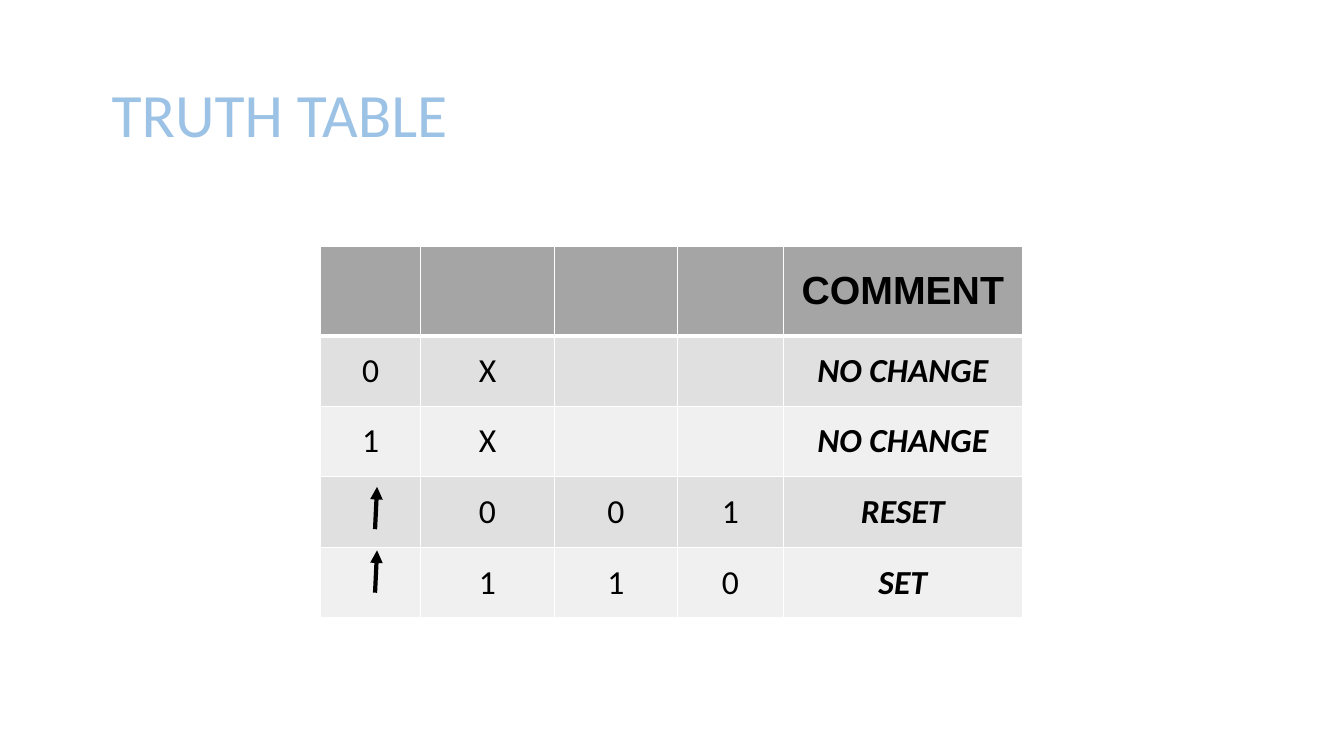
import pptx
import pptx.dml.color
import pptx.enum.shapes
import pptx.enum.text
import pptx.oxml
import pptx.oxml.ns
import pptx.util
from lxml import etree

Inches = pptx.util.Inches
Pt = pptx.util.Pt
RGBColor = pptx.dml.color.RGBColor
MIDDLE = pptx.enum.text.MSO_ANCHOR.MIDDLE
CENTER = pptx.enum.text.PP_ALIGN.CENTER

SKY = RGBColor(0x9C, 0xC2, 0xE5)
BLACK = RGBColor(0, 0, 0)
WHITE = RGBColor(0xFF, 0xFF, 0xFF)
HEADER_GREY = RGBColor(0xA5, 0xA5, 0xA5)
BANDS = (RGBColor(0xF0, 0xF0, 0xF0), RGBColor(0xE0, 0xE0, 0xE0))

COLUMNS = (0.99, 1.33, 1.22, 1.05, 2.37)
HEADER_HEIGHT, ROW_HEIGHT = 0.89, 0.7
STATES = (
    ("", "", "", "", "COMMENT"),
    ("0", "X", "", "", "NO CHANGE"),
    ("1", "X", "", "", "NO CHANGE"),
    ("", "0", "0", "1", "RESET"),
    ("", "1", "1", "0", "SET"),
)


def add_run(paragraph, text, size, color, face="Calibri", bold=False, italic=False):
    """Append one styled run to the paragraph."""
    run = paragraph.add_run()
    run.text = text
    run.font.name = face
    run.font.size = Pt(size)
    run.font.color.rgb = color
    run.font.bold = bold
    run.font.italic = italic


def add_title(slide, left, top, width, height):
    """Place the heading in the given box."""
    heading = slide.shapes.add_textbox(*map(Inches, (left, top, width, height))).text_frame
    heading.word_wrap = True
    heading.vertical_anchor = MIDDLE
    heading.paragraphs[0].line_spacing = 0.9
    add_run(heading.paragraphs[0], "TRUTH TABLE", 44, SKY)


def set_borders(cell, top, bottom):
    """Draw white borders, with the given widths above and below."""
    properties = cell._tc.get_or_add_tcPr()
    for side, width in (("L", 1), ("R", 1), ("T", top), ("B", bottom)):
        border = etree.SubElement(properties, pptx.oxml.ns.qn(f"a:ln{side}"), w=str(Pt(width)))
        solid = etree.SubElement(border, pptx.oxml.ns.qn("a:solidFill"))
        etree.SubElement(solid, pptx.oxml.ns.qn("a:srgbClr"), val=str(WHITE))


def fill_cell(cell, text, row, column):
    """Style one cell by its row and column and write its text."""
    set_borders(cell, 3 if row == 1 else 1, 3 if row == 0 else 1)
    cell.fill.solid()
    cell.fill.fore_color.rgb = BANDS[row % 2] if row else HEADER_GREY
    cell.vertical_anchor = MIDDLE
    paragraph = cell.text_frame.paragraphs[0]
    paragraph.alignment = CENTER
    if text and row == 0:
        add_run(paragraph, text, 28, BLACK, "Arial", bold=True)
    elif text:
        comment = column == len(COLUMNS) - 1
        add_run(paragraph, text, 24, BLACK, bold=comment, italic=comment)


def add_truth_table(slide, left, top):
    """Place the table of states with its corner at left and top."""
    height = HEADER_HEIGHT + ROW_HEIGHT * (len(STATES) - 1)
    box = map(Inches, (left, top, sum(COLUMNS), height))
    table = slide.shapes.add_table(len(STATES), len(COLUMNS), *box).table
    for column, width in enumerate(COLUMNS):
        table.columns[column].width = Inches(width)
    for row, state in enumerate(STATES):
        table.rows[row].height = Inches(ROW_HEIGHT if row else HEADER_HEIGHT)
        for column, text in enumerate(state):
            fill_cell(table.cell(row, column), text, row, column)


def add_rising_edge(slide, left, top, width, height):
    """Draw an upward clock arrow across the given box."""
    ends = map(Inches, (left, top + height, left + width, top))
    edge = slide.shapes.add_connector(pptx.enum.shapes.MSO_CONNECTOR.STRAIGHT, *ends)
    edge.line.color.rgb = BLACK
    edge.line.width = Pt(3)
    etree.SubElement(edge.line._get_or_add_ln(), pptx.oxml.ns.qn("a:tailEnd"), type="triangle")
    etree.SubElement(edge._element.spPr, pptx.oxml.ns.qn("a:effectLst"))


def main():
    """Build the slide and save it."""
    deck = pptx.Presentation()
    deck.slide_width, deck.slide_height = Inches(13.33), Inches(7.5)
    slide = deck.slides.add_slide(deck.slide_layouts[6])
    add_title(slide, 1.01, 0.44, 7.88, 1.45)
    table_left, table_top = 3.18, 2.44
    add_truth_table(slide, table_left, table_top)
    for drop in (2.39, 3.02):
        add_rising_edge(slide, table_left + 0.54, table_top + drop, 0.02, 0.42)
    deck.save("out.pptx")


if __name__ == "__main__":
    main()
